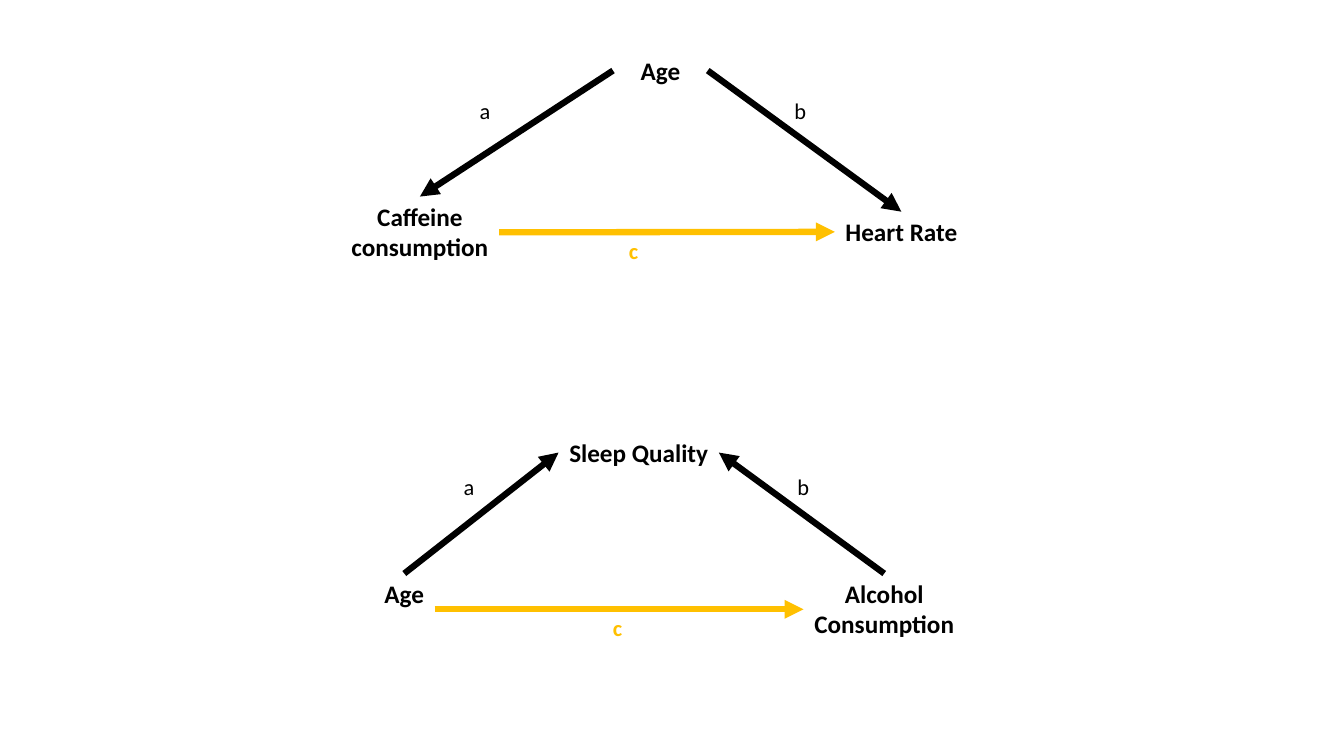
from lxml import etree
from pptx import Presentation
from pptx.dml.color import RGBColor
from pptx.enum import shapes, text
from pptx.oxml import ns
from pptx.util import Inches, Pt

COLORS = {"ink": "000000", "accent": "FFC000"}
NODE = {"size": Pt(18), "bold": True, "name": "Calibri"}
LABEL = {"size": Pt(16), "bold": False, "name": "Calibri"}
ACCENT_LABEL = {**LABEL, "bold": True}
TOP, LEFT, RIGHT = 0, 1, 3  # connection sites of a box

# Boxes are left, top, width, height and labels left, top, from the diagram's corner
CONFOUNDER = {
    "origin": (3.38, 0.5),
    "nodes": {
        "apex": (["Age"], (2.7, 0, 0.94, 0.4)),
        "left": (["Caffeine", "consumption"], (0, 1.45, 1.57, 0.71)),
        "right": (["Heart Rate"], (4.9, 1.6, 1.32, 0.4)),
    },
    "labels": {"a": (1.28, 0.41), "b": (4.4, 0.41), "c": (2.76, 1.8)},
    "from_apex": True,
}
COLLIDER = {
    "origin": (3.71, 4.29),
    "nodes": {
        "apex": (["Sleep Quality"], (1.83, 0, 1.59, 0.4)),
        "left": (["Age"], (0, 1.4, 0.6, 0.71)),
        "right": (["Alcohol", "Consumption"], (4.26, 1.4, 1.6, 0.71)),
    },
    "labels": {"a": (0.79, 0.35), "b": (4.1, 0.35), "c": (2.27, 1.75)},
    "from_apex": False,
}


def add_text(slide, lines, box, font_format, color, alignment, wrap):
    shape = slide.shapes.add_textbox(*(Inches(length) for length in box))
    frame = shape.text_frame
    frame.word_wrap = wrap
    frame.text = "\n".join(lines)
    for paragraph in frame.paragraphs:
        paragraph.alignment = alignment
        for name, value in font_format.items():
            setattr(paragraph.font, name, value)
        paragraph.font.color.rgb = RGBColor.from_string(COLORS[color])
    return shape


def add_arrow(slide, start, end, color):
    """Join two (shape, connection site) pairs with an arrow."""
    arrow = slide.shapes.add_connector(shapes.MSO_CONNECTOR.STRAIGHT, 0, 0, 0, 0)
    arrow.begin_connect(*start)
    arrow.end_connect(*end)
    arrow.line.width = Pt(4.5)
    arrow.line.color.rgb = RGBColor.from_string(COLORS[color])
    line = arrow.line._get_or_add_ln()
    etree.SubElement(line, ns.qn("a:tailEnd"), type="triangle")
    etree.SubElement(arrow._element.spPr, ns.qn("a:effectLst"))


def draw_triangle(slide, origin, nodes, labels, from_apex):
    left, top = origin

    # Variables at the corners
    corners = {}
    for corner, (lines, (x, y, width, height)) in nodes.items():
        corners[corner] = add_text(slide, lines, (left + x, top + y, width, height),
                                   NODE, "ink", text.PP_ALIGN.CENTER, False)

    # Arrows along the sides
    for side, apex_site in (("left", LEFT), ("right", RIGHT)):
        ends = [(corners["apex"], apex_site), (corners[side], TOP)]
        start, end = ends if from_apex else reversed(ends)
        add_arrow(slide, start, end, "ink")
    add_arrow(slide, (corners["left"], RIGHT), (corners["right"], LEFT), "accent")

    # Path labels
    for name, (x, y) in labels.items():
        font_format, color = (ACCENT_LABEL, "accent") if name == "c" else (LABEL, "ink")
        add_text(slide, [name], (left + x, top + y, 0.36, 0.37),
                 font_format, color, text.PP_ALIGN.LEFT, True)


def main():
    presentation = Presentation()
    presentation.slide_width = Inches(13.33)
    presentation.slide_height = Inches(7.5)
    slide = presentation.slides.add_slide(presentation.slide_layouts[6])
    for diagram in (CONFOUNDER, COLLIDER):
        draw_triangle(slide, **diagram)
    presentation.save("out.pptx")


if __name__ == "__main__":
    main()
